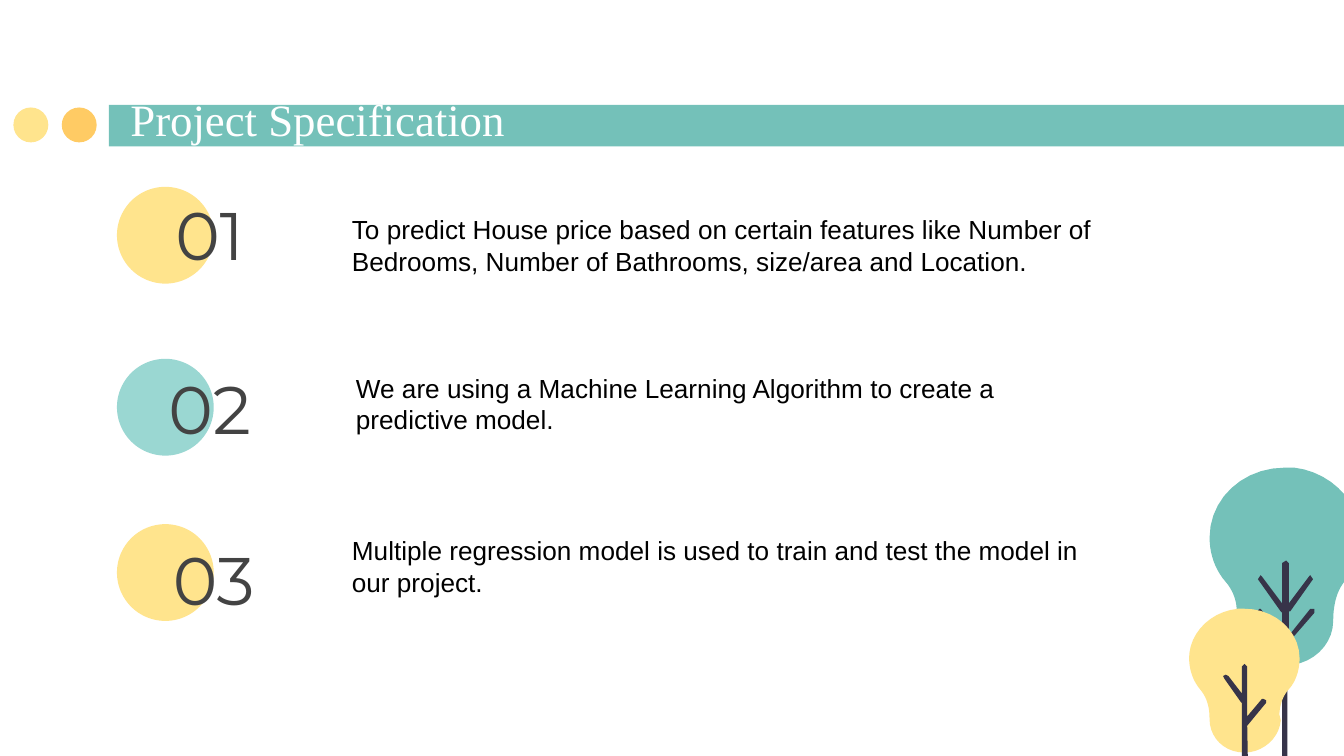
from dataclasses import dataclass

from pptx import Presentation
from pptx.dml.color import RGBColor
from pptx.enum.shapes import MSO_SHAPE as Preset
from pptx.enum.text import MSO_ANCHOR as Anchor, MSO_AUTO_SIZE as AutoSize, PP_ALIGN as Align
from pptx.util import Inches, Pt


@dataclass(frozen=True)
class Theme:
    teal: str = "74C1B9"
    light_teal: str = "9AD7D2"
    yellow: str = "FFE48D"
    orange: str = "FFCB64"
    trunk: str = "373449"
    white: str = "FFFFFF"
    gray: str = "434343"
    black: str = "000000"
    title_font: str = "Times New Roman"
    number_font: str = "Montserrat"
    body_font: str = "Arial"
    title_size: int = 24
    number_size: int = 36
    body_size: int = 14


THEME = Theme()
SLIDE_WIDTH = 10
CIRCLE_LEFT, CIRCLE_SIZE = 0.87, 0.72
CURVE_STEPS = 10

# Circle top and colour, number position, then text position and width
ITEMS = [
    (1.39, THEME.yellow, (0.6, 1.42), (2.52, 1.54, 6.58),
     "To predict House price based on certain features like Number of Bedrooms, "
     "Number of Bathrooms, size/area and Location."),
    (2.67, THEME.light_teal, (0.6, 2.72), (2.55, 2.72, 5.76),
     "We are using a Machine Learning Algorithm to create a predictive model."),
    (3.9, THEME.yellow, (0.63, 3.99), (2.52, 3.93, 5.79),
     "Multiple regression model is used to train and test the model in our project."),
]

# Outlines: a start point, then lines (2 numbers) or cubic curves (6 numbers)
TEAL_CROWN = [
    (9.56, 3.48), (9.25, 3.48, 9, 3.71, 9, 4), (9, 4.12, 9.04, 4.24, 9.12, 4.33),
    (9.18, 4.4, 9.21, 4.49, 9.2, 4.58), (9.2, 4.63), (9.2, 4.81, 9.37, 4.95, 9.57, 4.95),
    (9.76, 4.95, 9.92, 4.8, 9.92, 4.62), (9.92, 4.49, 9.95, 4.39, 10.01, 4.32),
    (10.1, 4.21, 10.14, 4.07, 10.12, 3.94), (10.09, 3.7, 9.88, 3.51, 9.63, 3.48),
]
TEAL_BRANCHES = [
    (9.57, 4.17), (9.54, 4.19), (9.54, 4.49), (9.39, 4.29), (9.38, 4.28), (9.36, 4.31),
    (9.53, 4.55), (9.54, 4.56), (9.54, 4.73), (9.38, 4.53), (9.37, 4.53), (9.35, 4.56),
    (9.54, 4.79), (9.54, 5.84), (9.57, 5.86), (9.58, 5.84), (9.58, 4.79), (9.78, 4.56),
    (9.78, 4.53), (9.75, 4.53), (9.59, 4.73), (9.59, 4.55), (9.6, 4.55), (9.77, 4.31),
    (9.75, 4.28), (9.74, 4.29), (9.59, 4.49), (9.59, 4.19),
]
YELLOW_CROWN = [
    (9.26, 4.53), (9.24, 4.53, 9.23, 4.53, 9.21, 4.53), (9.02, 4.55, 8.87, 4.69, 8.85, 4.86),
    (8.84, 4.96, 8.87, 5.06, 8.93, 5.13), (8.98, 5.19, 9, 5.26, 9, 5.35),
    (9, 5.49, 9.11, 5.6, 9.26, 5.6), (9.4, 5.6, 9.52, 5.49, 9.53, 5.36),
    (9.52, 5.32), (9.52, 5.26, 9.54, 5.19, 9.58, 5.14),
    (9.64, 5.08, 9.67, 4.99, 9.67, 4.9), (9.67, 4.69, 9.48, 4.53, 9.26, 4.53),
]
YELLOW_BRANCHES = [
    (9.26, 4.94), (9.24, 4.96), (9.24, 5.16), (9.14, 5.03), (9.12, 5.02), (9.1, 5.03),
    (9.11, 5.05), (9.23, 5.22), (9.24, 5.23), (9.24, 5.93), (9.26, 5.95), (9.29, 5.93),
    (9.28, 5.4), (9.42, 5.23), (9.42, 5.21), (9.4, 5.2), (9.39, 5.2), (9.28, 5.33),
    (9.28, 4.96),
]


def trace(outline):
    """Turn an outline of lines and cubic curves into a list of points."""
    points = [outline[0]]
    for segment in outline[1:]:
        if len(segment) == 2:
            points.append(segment)
            continue
        x0, y0 = points[-1]
        x1, y1, x2, y2, x3, y3 = segment
        for step in range(1, CURVE_STEPS + 1):
            t = step / CURVE_STEPS
            a, b, c, d = (1 - t) ** 3, 3 * t * (1 - t) ** 2, 3 * t * t * (1 - t), t ** 3
            points.append((a * x0 + b * x1 + c * x2 + d * x3,
                           a * y0 + b * y1 + c * y2 + d * y3))
    return points


def write_text(shape, text, *, font, size, color, align=Align.LEFT, anchor=Anchor.TOP,
               inset=None, auto_size=AutoSize.NONE):
    frame = shape.text_frame
    frame.word_wrap = True
    frame.auto_size = auto_size
    frame.vertical_anchor = anchor
    if inset is not None:
        frame.margin_left = frame.margin_right = Inches(inset)
        frame.margin_top = frame.margin_bottom = Inches(inset)
    paragraph = frame.paragraphs[0]
    paragraph.alignment = align
    run = paragraph.add_run()
    run.text = text
    run.font.name = font
    run.font.size = Pt(size)
    run.font.color.rgb = RGBColor.from_string(color)


class SlideBuilder:
    def __init__(self, slide, theme):
        self.slide = slide
        self.shapes = slide.shapes
        self.theme = theme

    def paint(self, shape, color):
        shape.shadow.inherit = False
        shape.fill.solid()
        shape.fill.fore_color.rgb = RGBColor.from_string(color)
        shape.line.fill.background()

    def shape(self, preset, left, top, width, height, color):
        shape = self.shapes.add_shape(preset, *map(Inches, (left, top, width, height)))
        self.paint(shape, color)

    def circle(self, left, top, size, color):
        self.shape(Preset.OVAL, left, top, size, size, color)

    def title(self, text, left, top, width, height):
        title = self.shapes.title
        title.left, title.top, title.width, title.height = map(
            Inches, (left, top, width, height))
        # Bring the title in front of the band
        self.shapes._spTree.append(title._element)
        write_text(title, text, font=self.theme.title_font, size=self.theme.title_size,
                   color=self.theme.white, anchor=Anchor.BOTTOM, inset=0.1)

    def number(self, text, left, top):
        box = self.shapes.add_textbox(*map(Inches, (left, top, 1.92, 0.63)))
        write_text(box, text, font=self.theme.number_font, size=self.theme.number_size,
                   color=self.theme.gray, align=Align.CENTER, anchor=Anchor.MIDDLE, inset=0.1)

    def body(self, text, left, top, width):
        box = self.shapes.add_textbox(*map(Inches, (left, top, width, 0.57)))
        write_text(box, text, font=self.theme.body_font, size=self.theme.body_size,
                   color=self.theme.black, auto_size=AutoSize.SHAPE_TO_FIT_TEXT)

    def tree(self, crown, branches, crown_color):
        group = self.shapes.add_group_shape()
        for outline, color in ((crown, crown_color), (branches, self.theme.trunk)):
            points = [(Inches(x), Inches(y)) for x, y in trace(outline)]
            builder = group.shapes.build_freeform(*points[0])
            builder.add_line_segments(points[1:], close=True)
            self.paint(builder.convert_to_shape(), color)


def main():
    presentation = Presentation()
    presentation.slide_width = Inches(SLIDE_WIDTH)
    presentation.slide_height = Inches(SLIDE_WIDTH * 9 / 16)
    slide = presentation.slides.add_slide(presentation.slide_layouts[5])
    builder = SlideBuilder(slide, THEME)

    builder.shape(Preset.RECTANGLE, 0.81, 0.78, 9.5, 0.31, THEME.teal)
    builder.circle(0.46, 0.8, 0.26, THEME.orange)
    builder.circle(0.1, 0.8, 0.26, THEME.yellow)
    builder.title("Project Specification", 0.87, 0.84, 5.48, 0.34)

    for index, (circle_top, color, number_at, text_at, text) in enumerate(ITEMS, start=1):
        builder.circle(CIRCLE_LEFT, circle_top, CIRCLE_SIZE, color)
        builder.number(f"{index:02}", *number_at)
        builder.body(text, *text_at)

    builder.tree(TEAL_CROWN, TEAL_BRANCHES, THEME.teal)
    builder.tree(YELLOW_CROWN, YELLOW_BRANCHES, THEME.yellow)
    presentation.save("out.pptx")


if __name__ == "__main__":
    main()
